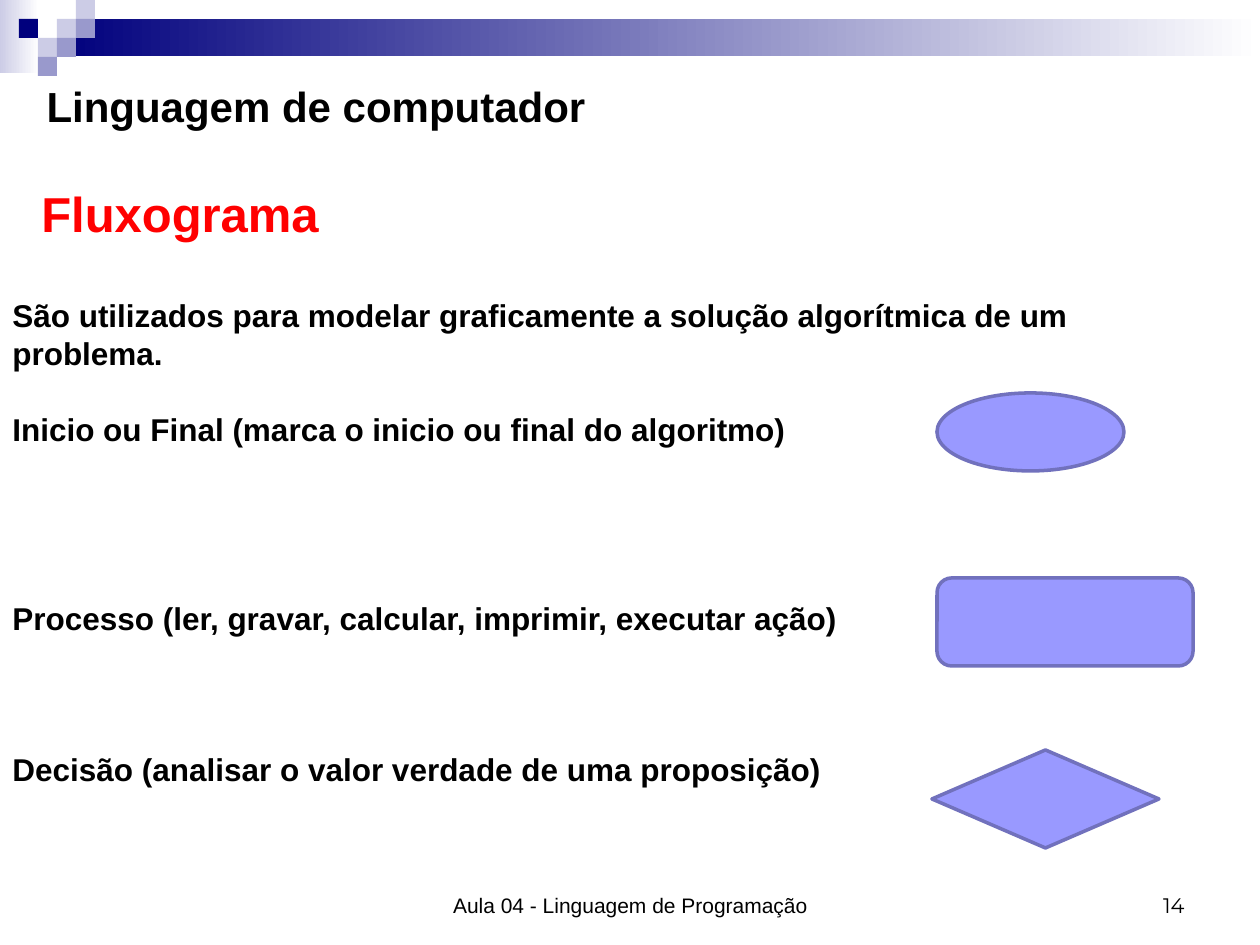
from pptx import Presentation
from pptx.dml.color import RGBColor
from pptx.enum.shapes import MSO_SHAPE as SHAPE
from pptx.enum.text import MSO_ANCHOR as ANCHOR, PP_ALIGN as ALIGN
from pptx.util import Pt

PX = 914400 / 126


def box(kind, *at):
    shape = slide.shapes.add_shape(kind, *[round(n * PX) for n in at])
    shape.shadow.inherit = False
    shape.line.fill.background()
    return shape


def style(par, size, color="000000", bold=False, face="Arial", align=ALIGN.LEFT):
    par.alignment = align
    font = par.font
    font.name, font.size, font.bold = face, Pt(size), bold
    font.color.rgb = RGBColor.from_string(color)


prs = Presentation()
prs.slide_width, prs.slide_height = round(1260 * PX), round(945 * PX)
slide = prs.slides.add_slide(prs.slide_layouts[5])

# Fading bands at the top
for at, color in [((0, 0, 39, 73), "CCCCE6"), ((57, 19, 1203, 37), "00007D")]:
    band = box(SHAPE.RECTANGLE, *at)
    band.fill.gradient()
    band.fill.gradient_angle = 0
    for stop, tone in zip(band.fill.gradient_stops, (color, "FFFFFF")):
        stop.color.rgb = RGBColor.from_string(tone)

# Small squares on a 19 px grid
CELL = 19
for col, row, color in [(3, 1, "CCCCE6"), (4, 0, "CCCCE6"), (4, 1, "9999CC"),
                        (2, 2, "CCCCE6"), (1, 1, "00007D"), (3, 2, "9999CC"),
                        (2, 3, "9999CC")]:
    tile = box(SHAPE.RECTANGLE, col * CELL, row * CELL, CELL, CELL)
    tile.fill.solid()
    tile.fill.fore_color.rgb = RGBColor.from_string(color)

# Title
title = slide.shapes.title
title.left, title.top, title.width, title.height = [
    round(n * PX) for n in (34, 11, 1134, 189)]
title.text_frame.text = "Linguagem de computador"
title.text_frame.vertical_anchor = ANCHOR.MIDDLE
style(title.text_frame.paragraphs[0], 24, bold=True)

# Subtitle, footer and page number
for text, at, anchor, look in [
    ("Fluxograma", (29, 178, 1134, 69), ANCHOR.MIDDLE,
     dict(size=28, color="FF0000", bold=True)),
    ("Aula 04 - Linguagem de Programação", (431, 861, 399, 63), ANCHOR.BOTTOM,
     dict(size=12, align=ALIGN.CENTER)),
    ("14", (903, 861, 294, 63), ANCHOR.BOTTOM,
     dict(size=12, face="Montserrat", align=ALIGN.RIGHT)),
]:
    frame = slide.shapes.add_textbox(*[round(n * PX) for n in at]).text_frame
    frame.word_wrap = True
    frame.vertical_anchor = anchor
    frame.text = text
    style(frame.paragraphs[0], **look)

# Body text: each entry follows a number of free lines
LINE = 21.6
at = (0, 290, 1221, 509)
frame = slide.shapes.add_textbox(*[round(n * PX) for n in at]).text_frame
frame.word_wrap = True
for i, (gap, text) in enumerate([
    (0, "São utilizados para modelar graficamente a solução algorítmica de um problema."),
    (1, "Inicio ou Final (marca o inicio ou final do algoritmo)"),
    (4, "Processo (ler, gravar, calcular, imprimir, executar ação)"),
    (3, "Decisão (analisar o valor verdade de uma proposição)"),
]):
    par = frame.add_paragraph() if i else frame.paragraphs[0]
    par.text = text
    par.line_spacing = Pt(LINE)
    par.space_before = Pt(gap * LINE)
    style(par, 18, bold=True)

# Flowchart symbols
for kind, *at in [(SHAPE.OVAL, 937, 393, 187, 78),
                  (SHAPE.ROUNDED_RECTANGLE, 937, 578, 256, 88),
                  (SHAPE.DIAMOND, 932, 750, 227, 98)]:
    symbol = box(kind, *at)
    symbol.fill.solid()
    symbol.fill.fore_color.rgb = RGBColor.from_string("9999FF")
    symbol.line.color.rgb = RGBColor.from_string("7171BD")
    symbol.line.width = Pt(2)

prs.save("out.pptx")
